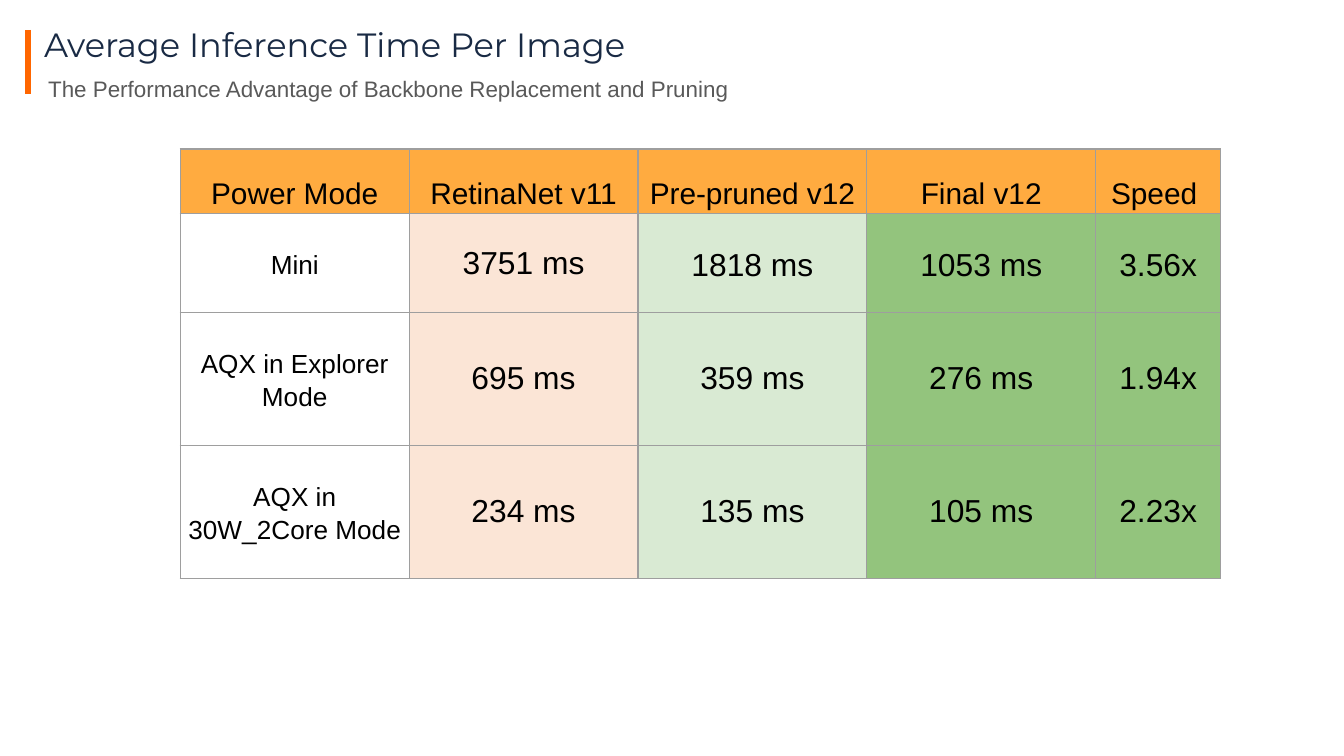
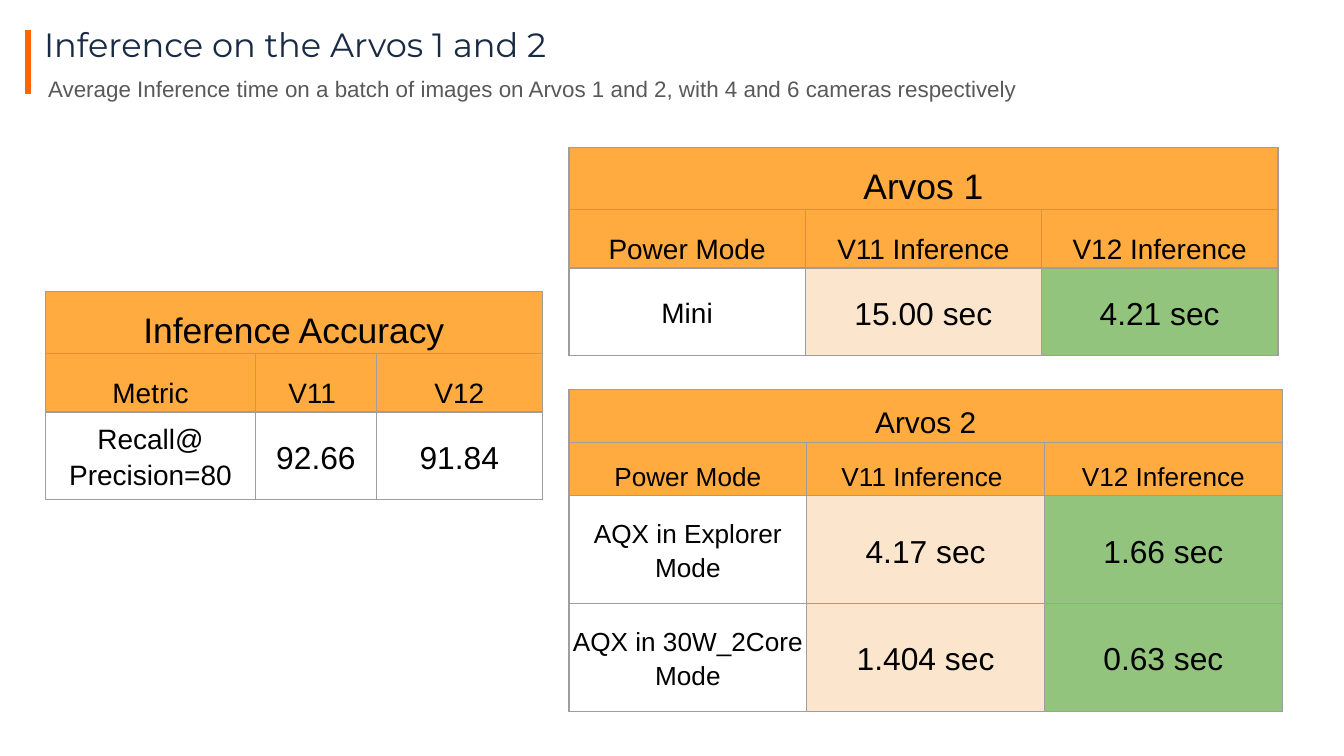
from lxml.etree import SubElement
from pptx import Presentation
from pptx.dml.color import RGBColor
from pptx.enum.shapes import MSO_CONNECTOR
from pptx.enum.text import MSO_ANCHOR, PP_ALIGN
from pptx.oxml.ns import qn
from pptx.util import Pt

COLORS = {
    "accent": "FF6600",
    "title": "192A44",
    "subtitle": "595959",
    "text": "000000",
    "border": "9E9E9E",
    "header": "FFAB40",
    "peach": "FBE5D6",
    "cream": "FCE5CD",
    "mint": "D9EAD3",
    "green": "93C47D",
    "white": "FFFFFF",
}
BORDER_WIDTH = Pt(0.75)
LABEL_SIZE, VALUE_SIZE = 14, 17
LINE_SPACING = 1.15


def color(name):
    return RGBColor.from_string(COLORS[name])


def style_font(p, size, name, font="Arial"):
    p.font.size = Pt(size)
    p.font.name = font
    p.font.color.rgb = color(name)


def add_text(slide, box, text, size, name, font="Arial", spacing=None):
    sp = slide.shapes.add_textbox(*map(Pt, box))
    tf = sp.text_frame
    tf.word_wrap = True
    tf.margin_left = tf.margin_top = tf.margin_right = tf.margin_bottom = Pt(7.2)
    p = tf.paragraphs[0]
    p.text = text
    p.line_spacing = spacing
    style_font(p, size, name, font)


def add_heading_slide(prs, title, subtitle):
    """Blank slide with the accent bar, title and subtitle."""
    slide = prs.slides.add_slide(prs.slide_layouts[6])
    bar = slide.shapes.add_connector(
        MSO_CONNECTOR.STRAIGHT, Pt(15), Pt(16), Pt(15), Pt(50.4))
    bar.line.color.rgb = color("accent")
    bar.line.width = Pt(3.5)
    SubElement(bar._element.spPr, qn("a:effectLst"))
    add_text(slide, (16.5, 5.8, 671, 31), title, 18, "title", "Montserrat")
    add_text(slide, (18.7, 31, 548.6, 21), subtitle, 12, "subtitle",
             spacing=LINE_SPACING)
    return slide


def set_borders(cell):
    tcPr = cell._tc.get_or_add_tcPr()
    for i, side in enumerate(("lnL", "lnR", "lnT", "lnB")):
        ln = tcPr.makeelement(qn(f"a:{side}"), {"w": str(BORDER_WIDTH)})
        fill = SubElement(ln, qn("a:solidFill"))
        SubElement(fill, qn("a:srgbClr"), val=COLORS["border"])
        tcPr.insert(i, ln)


def fill_cell(cell, text, size, fill, anchor, spacing):
    cell.margin_left = cell.margin_right = Pt(2)
    cell.margin_top = cell.margin_bottom = Pt(1.5)
    cell.vertical_anchor = anchor
    if fill:
        cell.fill.solid()
        cell.fill.fore_color.rgb = color(fill)
    else:
        cell.fill.background()
    cell.text_frame.text = text
    for p in cell.text_frame.paragraphs:
        p.alignment = PP_ALIGN.CENTER
        p.line_spacing = spacing
        style_font(p, size, "text")
    set_borders(cell)


def add_table(slide, left, top, widths, heights, rows, value_fills, header_sizes,
              label_size=LABEL_SIZE, single_spaced=()):
    """Header rows (one per header size), then a label and values per row.

    A header row with a single text spans the whole table.
    """
    frame = slide.shapes.add_table(
        len(rows), len(widths), Pt(left), Pt(top), Pt(sum(widths)), Pt(sum(heights)))
    table = frame.table
    table.first_row = table.horz_banding = False
    for column, width in zip(table.columns, widths):
        column.width = Pt(width)
    for row, height in zip(table.rows, heights):
        row.height = Pt(height)

    for r, texts in enumerate(rows):
        header = r < len(header_sizes)
        spans = len(texts) == 1
        for c in range(len(widths)):
            if header:
                size, fill, anchor = header_sizes[r], "header", MSO_ANCHOR.BOTTOM
            else:
                size = VALUE_SIZE if c else label_size
                fill = value_fills[c - 1] if c else None
                anchor = MSO_ANCHOR.MIDDLE
            text = "" if spans and c else texts[c]
            spacing = 1.0 if (r, c) in single_spaced else LINE_SPACING
            fill_cell(table.cell(r, c), text, size, fill, anchor, spacing)
        if spans:
            table.cell(r, 0).merge(table.cell(r, len(widths) - 1))


def add_time_slide(prs):
    slide = add_heading_slide(
        prs, "Average Inference Time Per Image",
        "The Performance Advantage of Backbone Replacement and Pruning")
    rows = [
        ("Power Mode", "RetinaNet v11", "Pre-pruned v12", "Final v12", "Speed "),
        ("Mini", "3751 ms", "1818 ms", "1053 ms", "3.56x"),
        ("AQX in Explorer Mode", "695 ms", "359 ms", "276 ms", "1.94x"),
        ("AQX in 30W_2Core Mode", "234 ms", "135 ms", "105 ms", "2.23x"),
    ]
    single = {(1, 1)} | {(r, c) for r in (2, 3) for c in range(1, 5)}
    add_table(slide, 96.6, 79.8, [122.6] * 4 + [67], [34.6, 53, 71.2, 71.2], rows,
              ("peach", "mint", "green", "green"), (16,), single_spaced=single)


def add_devices_slide(prs):
    slide = add_heading_slide(
        prs, "Inference on the Arvos 1 and 2",
        "Average Inference time on a batch of images on Arvos 1 and 2, "
        "with 4 and 6 cameras respectively")
    time_fills = ("cream", "green")
    small_heights = [33.2, 31.2, 47]

    # Batch times per device
    add_table(slide, 304.8, 79.2, [126.6] * 3, small_heights, [
        ("Arvos 1",),
        ("Power Mode", "V11 Inference", "V12 Inference"),
        ("Mini", "15.00 sec", "4.21 sec"),
    ], time_fills, (19, 15), label_size=15)
    add_table(slide, 304.8, 208.8, [127.4] * 3, [28.3, 28.3, 57.8, 57.8], [
        ("Arvos 2",),
        ("Power Mode", "V11 Inference ", "V12 Inference"),
        ("AQX in Explorer Mode", "4.17 sec", "1.66 sec"),
        ("AQX in 30W_2Core Mode", "1.404 sec", "0.63 sec"),
    ], time_fills, (16, 14))

    # Accuracy
    add_table(slide, 24.4, 156.3, [112.5, 64.8, 88.8], small_heights, [
        ("Inference Accuracy",),
        ("Metric", "V11 ", "V12"),
        ("Recall@\nPrecision=80", "92.66", "91.84"),
    ], ("white", "white"), (19, 15), label_size=15)


def main():
    prs = Presentation()
    prs.slide_width, prs.slide_height = Pt(720), Pt(405)
    add_time_slide(prs)
    add_devices_slide(prs)
    prs.save("out.pptx")


if __name__ == "__main__":
    main()
